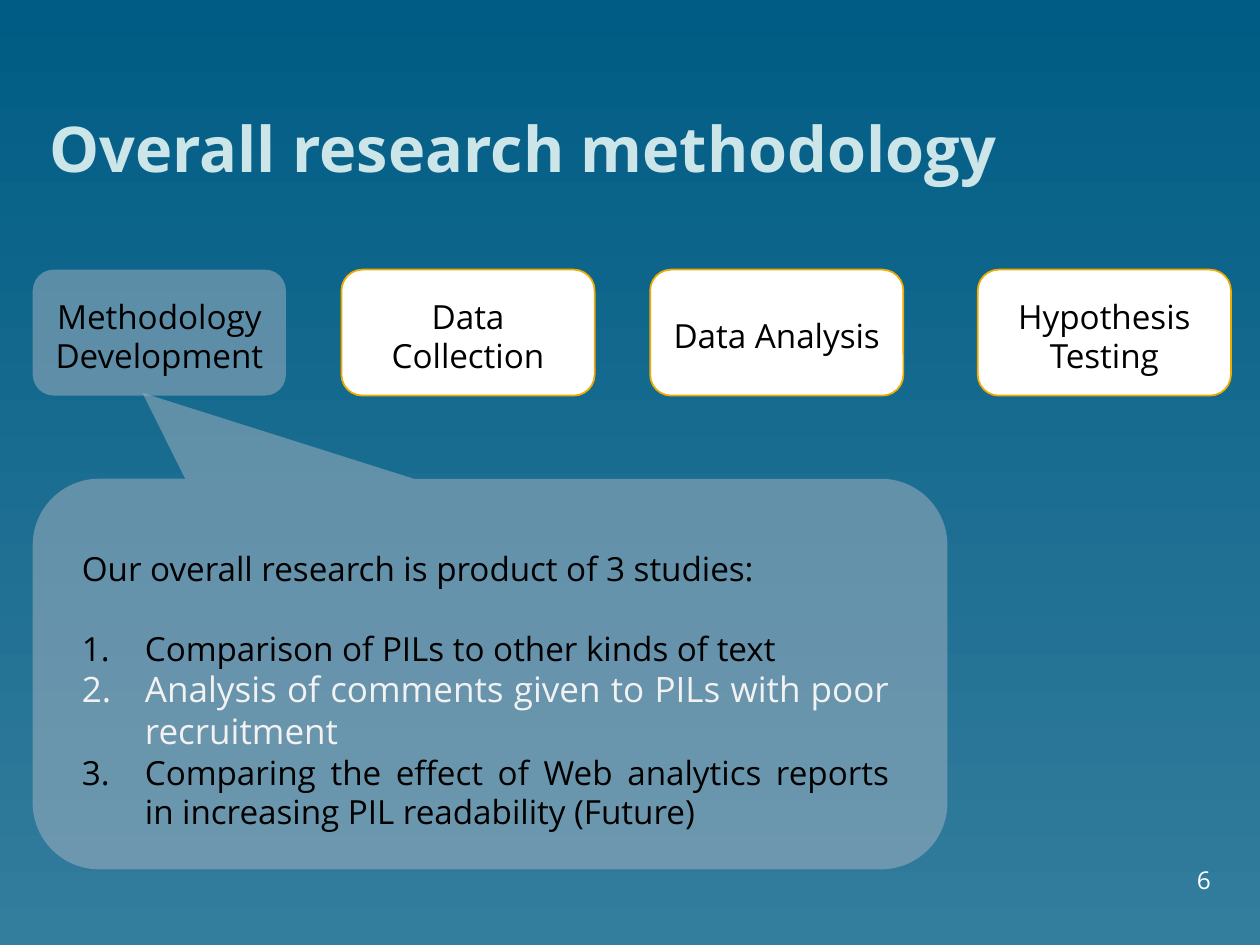
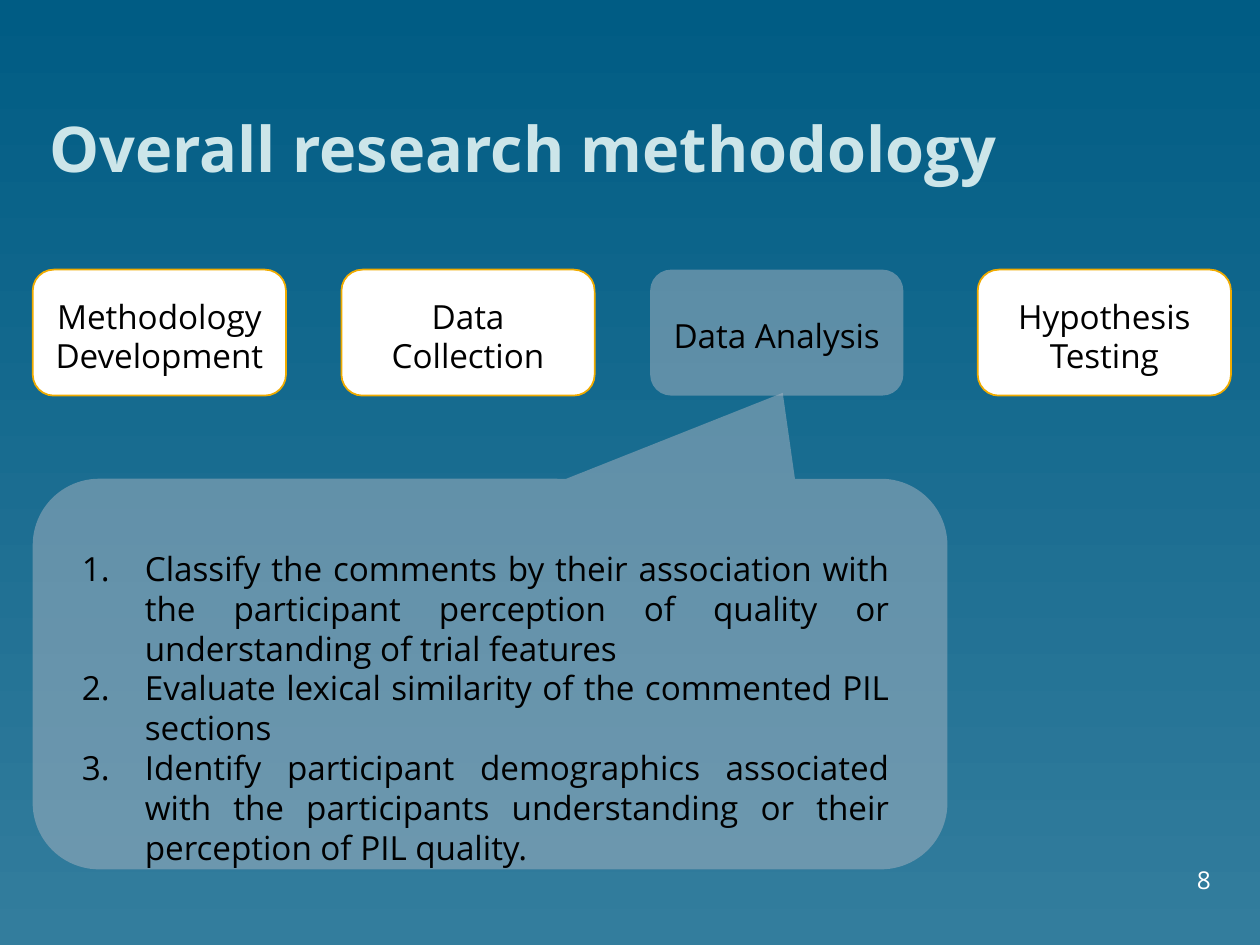
from dataclasses import dataclass
from typing import Any

from lxml import etree
from pptx import Presentation
from pptx.dml.color import RGBColor
from pptx.enum.shapes import MSO_SHAPE
from pptx.enum.text import MSO_ANCHOR, MSO_AUTO_SIZE, PP_ALIGN
from pptx.oxml.ns import qn
from pptx.util import Emu, Inches, Pt

ROUNDED = MSO_SHAPE.ROUNDED_RECTANGLE
CALLOUT = MSO_SHAPE.ROUNDED_RECTANGULAR_CALLOUT
LEFT, CENTER = PP_ALIGN.LEFT, PP_ALIGN.CENTER
RIGHT, JUSTIFY = PP_ALIGN.RIGHT, PP_ALIGN.JUSTIFY
TOP, MIDDLE, BOTTOM = MSO_ANCHOR.TOP, MSO_ANCHOR.MIDDLE, MSO_ANCHOR.BOTTOM
NO_FIT = MSO_AUTO_SIZE.NONE

FONT = "Open Sans"
BG_TOP, BG_BOTTOM = "005C84", "337D9D"
TITLE, WHITE, BLACK = "CCE5E9", "FFFFFF", "000000"
HIGHLIGHT, VEIL, BORDER = "F2F2F2", "AAB5C2", "F0AB00"
LINE_FACTOR = 1.2
COLS, ROWS = 100, 75
BODY_SIZE = 19

STEPS = ["Methodology Development", "Data Collection", "Data Analysis", "Hypothesis Testing"]
STEP_COL, STEP_PITCH, STEP_WIDTH = 2.6, 24.5, 20.1
LAST_STEP_COL = 77.6
STEP_ROW, STEP_HEIGHT = 21.4, 10

prs = Presentation()
prs.slide_width, prs.slide_height = Inches(10), Inches(7.5)


@dataclass
class Line:
    text: str
    numbered: bool = True
    size: float = BODY_SIZE
    color: str = BLACK
    align: Any = JUSTIFY
    bold: bool = False
    gap_after: float = 0


@dataclass
class Stage:
    number: int
    active: int
    tip: float
    body_rows: float
    lines: list[Line]


def rgb(value: str) -> RGBColor:
    return RGBColor.from_string(value)


def apply(obj: Any, values: dict[str, Any]) -> None:
    for name, value in values.items():
        setattr(obj, name, value)


def area(col: float, row: float, cols: float, rows: float) -> dict[str, Emu]:
    dx, dy = prs.slide_width / COLS, prs.slide_height / ROWS
    return {"left": Emu(round(col * dx)), "top": Emu(round(row * dy)),
            "width": Emu(round(cols * dx)), "height": Emu(round(rows * dy))}


def write(sp: Any, lines: list[Line], anchor: Any,
          insets: tuple[float, float, float, float] = (0, 0, 0, 0)) -> None:
    tf = sp.text_frame
    sides = ("margin_left", "margin_top", "margin_right", "margin_bottom")
    apply(tf, {"word_wrap": True, "auto_size": NO_FIT, "vertical_anchor": anchor,
               **{side: Inches(inset) for side, inset in zip(sides, insets)}})
    for i, line in enumerate(lines):
        p = tf.add_paragraph() if i else tf.paragraphs[0]
        apply(p, {"alignment": line.align, "line_spacing": Pt(line.size * LINE_FACTOR),
                  "space_before": Pt(0), "space_after": Pt(line.gap_after)})
        indent = Inches(0.5) if line.numbered else 0
        pPr = p._p.get_or_add_pPr()
        pPr.set("marL", str(indent))
        pPr.set("indent", str(-indent))
        if line.numbered:
            etree.SubElement(pPr, qn("a:buAutoNum"), type="arabicPeriod")
        else:
            etree.SubElement(pPr, qn("a:buNone"))
        r = p.add_run()
        r.text = line.text
        apply(r.font, {"name": FONT, "size": Pt(line.size), "bold": line.bold})
        r.font.color.rgb = rgb(line.color)


def add_panel(s: Any, kind: Any, box: dict[str, Emu], veiled: bool) -> Any:
    sp = s.shapes.add_shape(kind, **box)
    sp.shadow.inherit = False
    sp.fill.solid()
    sp.fill.fore_color.rgb = rgb(VEIL if veiled else WHITE)
    if veiled:
        color = sp._element.spPr.find(".//" + qn("a:srgbClr"))
        etree.SubElement(color, qn("a:alpha"), val="50000")
        sp.line.fill.background()
    else:
        sp.line.color.rgb = rgb(BORDER)
        sp.line.width = Pt(1)
    return sp


def add_steps(s: Any, active: int) -> None:
    for i, name in enumerate(STEPS):
        col = LAST_STEP_COL if i == len(STEPS) - 1 else STEP_COL + i * STEP_PITCH
        box = area(col, STEP_ROW, STEP_WIDTH, STEP_HEIGHT)
        sp = add_panel(s, ROUNDED, box, i == active)
        write(sp, [Line(name, False, align=CENTER)], MIDDLE, (0.1, 0.05, 0.1, 0))


def add_stage(stage: Stage) -> None:
    s = prs.slides.add_slide(prs.slide_layouts[1])
    title, body = s.placeholders
    apply(title, area(3.9, 0, 92.2, 14.7))
    write(title, [Line("Overall research methodology", False, 36, TITLE, LEFT, True)], BOTTOM)
    number = s.shapes.add_textbox(**area(75.2, 69, 20.9, 2))
    write(number, [Line(str(stage.number), False, 14, WHITE, RIGHT)], BOTTOM)
    add_steps(s, stage.active)
    callout = add_panel(s, CALLOUT, area(STEP_COL, 38, 72.6, 31), True)
    for i, value in enumerate((stage.tip, -0.72, 0.17)):
        callout.adjustments[i] = value
    apply(body, area(5.5, 43, 66.1, stage.body_rows))
    write(body, stage.lines, TOP, (0.1, 0.05, 0.1, 0.05))
    s.shapes._spTree.append(body._element)


def set_background() -> None:
    fill = prs.slide_master.background.fill
    fill.gradient()
    fill.gradient_angle = 270
    for stop, color, position in zip(fill.gradient_stops, (BG_TOP, BG_BOTTOM), (0, 1)):
        stop.color.rgb = rgb(color)
        stop.position = position


STAGES = [
    Stage(6, 0, -0.38, 23.7, [
        Line("Our overall research is product of 3 studies:", False,
             gap_after=BODY_SIZE * LINE_FACTOR),
        Line("Comparison of PILs to other kinds of text"),
        Line("Analysis of comments given to PILs with poor recruitment",
             size=20, color=HIGHLIGHT),
        Line("Comparing the effect of Web analytics reports in increasing "
             "PIL readability (Future)"),
    ]),
    Stage(8, 2, 0.32, 33, [
        Line("Classify the comments by their association with the participant "
             "perception of quality or understanding of trial features"),
        Line("Evaluate lexical similarity of the commented PIL sections"),
        Line("Identify participant demographics associated with the participants "
             "understanding or their perception of PIL quality."),
    ]),
]

set_background()
for stage in STAGES:
    add_stage(stage)
prs.save("out.pptx")
